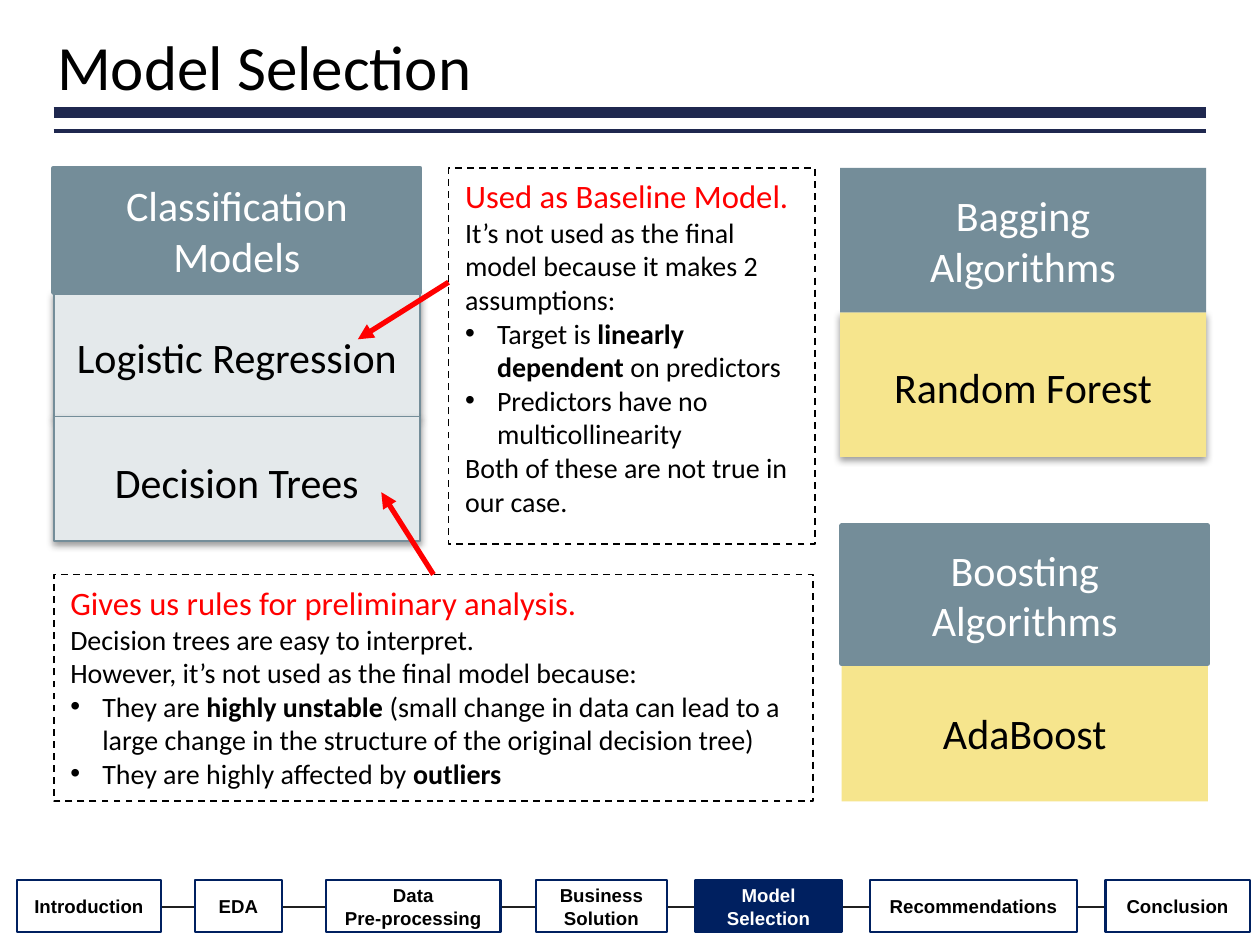
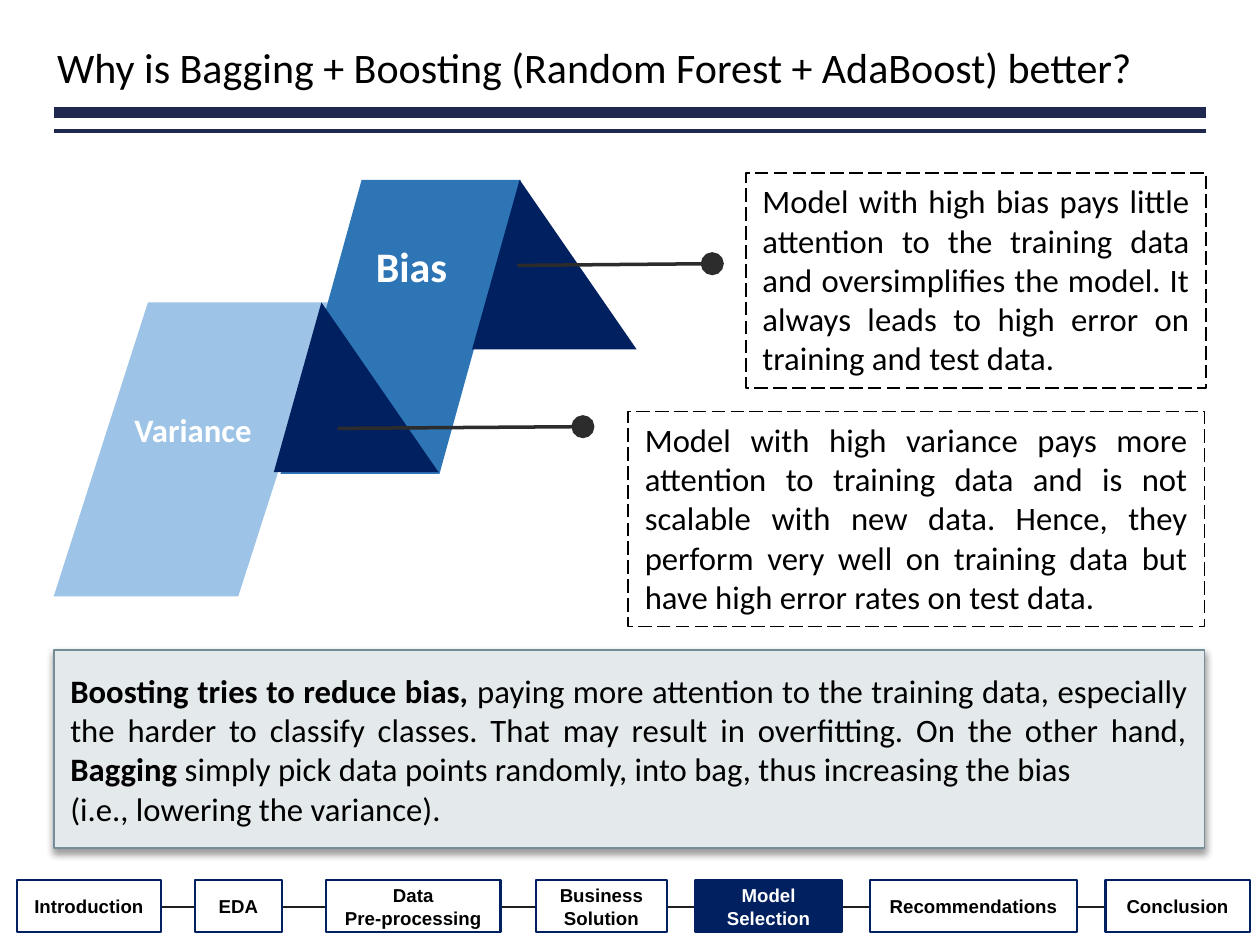
from lxml import etree
from pptx import Presentation
from pptx.dml.color import RGBColor
from pptx.enum.dml import MSO_LINE
from pptx.enum.shapes import MSO_CONNECTOR, MSO_SHAPE
from pptx.enum.text import MSO_ANCHOR, PP_ALIGN
from pptx.oxml.ns import qn
from pptx.util import Inches, Pt

RECT, TRIANGLE = MSO_SHAPE.RECTANGLE, MSO_SHAPE.ISOSCELES_TRIANGLE
PARALLELOGRAM = MSO_SHAPE.PARALLELOGRAM
STRAIGHT = MSO_CONNECTOR.STRAIGHT
DASH, LONG_DASH = MSO_LINE.DASH, MSO_LINE.LONG_DASH
TOP, MIDDLE = MSO_ANCHOR.TOP, MSO_ANCHOR.MIDDLE
LEFT, CENTER, JUSTIFY = PP_ALIGN.LEFT, PP_ALIGN.CENTER, PP_ALIGN.JUSTIFY

BLACK, WHITE, RED = "000000", "FFFFFF", "FF0000"
NAVY, RULE, CHARCOAL, LINK = "002060", "1F284F", "2C2C2C", "202020"
SLATE, MIST, YELLOW = "748D99", "E4E9EB", "F6E58D"
LIGHT_BLUE, MID_BLUE = "9DC3E6", "2E75B6"

# Footer steps: label, left, width
STEPS = [
    ("Introduction", 0.1, 0.86),
    ("EDA", 1.16, 0.52),
    ("Data\nPre-processing", 1.94, 1.04),
    ("Business Solution", 3.19, 0.78),
    ("Model Selection", 4.14, 0.87),
    ("Recommendations", 5.18, 1.23),
    ("Conclusion", 6.58, 0.86),
]
CURRENT_STEP = "Model Selection"


def color(value):
    return RGBColor.from_string(value)


def add_bullet(para):
    """Give a paragraph a round bullet with a hanging indent."""
    properties = para._p.get_or_add_pPr()
    properties.set("marL", str(Inches(0.19)))
    properties.set("indent", str(Inches(-0.19)))
    font = etree.SubElement(properties, qn("a:buFont"))
    font.set("typeface", "Arial")
    etree.SubElement(properties, qn("a:buChar")).set("char", "•")


def write(box, text, size, ink=BLACK, align=LEFT, anchor=MIDDLE,
          bold=False, font="Calibri"):
    """Write one paragraph a line; *stars* mark bold, "- " a bullet."""
    frame = box.text_frame
    frame.word_wrap = True
    frame.vertical_anchor = anchor
    for index, line in enumerate(text.split("\n")):
        para = frame.paragraphs[0] if index == 0 else frame.add_paragraph()
        para.alignment = align
        if line.startswith("- "):
            add_bullet(para)
            line = line[2:]
        for part, words in enumerate(line.split("*")):
            if words:
                span = para.add_run()
                span.text = words
                span.font.name = font
                span.font.size = Pt(size)
                span.font.bold = bold or part % 2 == 1
                span.font.color.rgb = color(ink)


def add_shadow(box):
    effects = box._element.spPr.find(qn("a:effectLst"))
    shadow = etree.SubElement(effects, qn("a:outerShdw"), blurRad=str(Pt(3.1)),
                              dist=str(Pt(1.6)), dir="5400000",
                              algn="t", rotWithShape="0")
    shade = etree.SubElement(shadow, qn("a:srgbClr"), val=BLACK)
    etree.SubElement(shade, qn("a:alpha"), val="38000")


def add_box(page, left, top, width, height, fill=None, line=None, weight=0.75,
            dash=None, shadow=False, kind=RECT, slant=None):
    box = page.shapes.add_shape(kind, Inches(left), Inches(top),
                                Inches(width), Inches(height))
    box.shadow.inherit = False
    if slant is not None:
        box.adjustments[0] = slant
    if fill:
        box.fill.solid()
        box.fill.fore_color.rgb = color(fill)
    else:
        box.fill.background()
    if line:
        box.line.color.rgb = color(line)
        box.line.width = Pt(weight)
        box.line.dash_style = dash
    else:
        box.line.fill.background()
    if shadow:
        add_shadow(box)
    return box


def add_line(page, start, end, ink, weight, tip=None, tip_size="med"):
    line = page.shapes.add_connector(STRAIGHT, *map(Inches, start + end))
    line.line.color.rgb = color(ink)
    line.line.width = Pt(weight)
    if tip:
        etree.SubElement(line.line._get_or_add_ln(), qn("a:tailEnd"),
                         type=tip, w=tip_size, len=tip_size)
    etree.SubElement(line._element.spPr, qn("a:effectLst"))


def add_footer(page):
    top, height, middle = 5.24, 0.31, 5.4
    for (_, left, width), (_, following, _) in zip(STEPS, STEPS[1:]):
        add_line(page, (left + width, middle), (following, middle), LINK, 0.75)
    for label, left, width in STEPS:
        current = label == CURRENT_STEP
        step = add_box(page, left, top, width, height,
                       NAVY if current else WHITE, NAVY, 1)
        write(step, label, 8, WHITE if current else BLACK, CENTER,
              bold=True, font="Arial")


def add_page(deck, title, size):
    """Start a slide with its footer, double rule and title."""
    page = deck.slides.add_slide(deck.slide_layouts[6])
    add_footer(page)
    for top, weight in ((0.67, 4.5), (0.78, 1.5)):
        add_line(page, (0.32, top), (7.18, top), RULE, weight)
    box = page.shapes.add_textbox(Inches(0.28), Inches(0.16),
                                  Inches(6.89), Inches(0.51))
    frame = box.text_frame
    frame.margin_left = frame.margin_right = Inches(0.06)
    frame.margin_top = frame.margin_bottom = Inches(0.03)
    write(box, title, size)
    frame.paragraphs[0].line_spacing = 0.9
    return page


def add_stack(page, left, top, height, header, models, fill, border=None,
              edge=None, shadow=True, inset=0.08):
    """Stack model boxes of equal height under a header."""
    width = 2.18
    for row, model in enumerate(models, 1):
        box = add_box(page, left, top + row * height, width, height,
                      fill, border, shadow=shadow)
        box.text_frame.margin_top = Inches(inset)
        write(box, model, 18, align=CENTER)
    box = add_box(page, left, top, width, height, SLATE, edge, 2)
    write(box, header, 18, WHITE, CENTER)


def add_remark(page, left, top, width, height, text):
    """Add a dashed remark whose first line is a red heading."""
    box = add_box(page, left, top, width, height, line=BLACK, dash=DASH)
    write(box, text, 12, anchor=TOP)
    heading = box.text_frame.paragraphs[0].runs[0]
    heading.font.size = Pt(14)
    heading.font.color.rgb = color(RED)


def add_ribbon(page, left, top, width, fill, label, size, inset, shift=0):
    box = add_box(page, left, top, width, 1.75, fill,
                  kind=PARALLELOGRAM, slant=0.338)
    box.text_frame.margin_top = Inches(inset)
    box.text_frame.margin_left = Inches(0.1 + shift)
    write(box, label, size, WHITE, CENTER, TOP, bold=True)


def build_selection(deck):
    page = add_page(deck, "Model Selection", 27)

    # Model families
    add_stack(page, 0.32, 1, 0.74, "Classification Models",
              ["Logistic Regression", "Decision Trees"], MIST, SLATE, SLATE)
    add_stack(page, 5, 1, 0.86, "Bagging\nAlgorithms", ["Random Forest"], YELLOW)
    add_stack(page, 5.01, 3.13, 0.82, "Boosting Algorithms", ["AdaBoost"],
              YELLOW, edge=SLATE, shadow=False, inset=0.05)

    # Remarks with their arrows
    add_line(page, (2.67, 1.68), (2.13, 2.02), RED, 2.25, "triangle")
    add_remark(page, 2.67, 1, 2.18, 2.24,
               "Used as Baseline Model.\n"
               "It’s not used as the final model because it makes 2 assumptions:\n"
               "- Target is *linearly dependent *on predictors\n"
               "- Predictors have no multicollinearity\n"
               "Both of these are not true in our case.")
    add_line(page, (2.58, 3.42), (2.27, 2.93), RED, 2.25, "triangle")
    add_remark(page, 0.32, 3.42, 4.52, 1.35,
               "Gives us rules for preliminary analysis.\n"
               "Decision trees are easy to interpret.\n"
               "However, it’s not used as the final model because:\n"
               "- They are *highly unstable *(small change in data can lead to a "
               "large change in the structure of the original decision tree)\n"
               "- They are highly affected by *outliers*")


def build_comparison(deck):
    page = add_page(
        deck, "Why is Bagging + Boosting (Random Forest + AdaBoost) better?", 18)

    # Folded ribbon
    add_ribbon(page, 0.32, 1.8, 1.66, LIGHT_BLUE, "Variance", 14, 0.25)
    add_ribbon(page, 1.67, 1.07, 1.43, MID_BLUE, "Bias", 18, -0.03, 0.13)
    for left, top in ((1.63, 1.8), (2.81, 1.07)):
        add_box(page, left, top, 0.98, 1.01, NAVY, kind=TRIANGLE, slant=0.289)

    # Pointers and explanations
    for start, end in (((3.08, 1.58), (4.24, 1.57)), ((2.01, 2.55), (3.47, 2.54))):
        add_line(page, start, end, CHARCOAL, 1.5, "oval", "lg")
    explanations = [
        (4.44, 1.03, 2.74,
         "Model with high bias pays little attention to the training data and "
         "oversimplifies the model. It always leads to high error on training "
         "and test data."),
        (3.74, 2.45, 3.43,
         "Model with high variance pays more attention to training data and is "
         "not scalable with new data. Hence, they perform very well on training "
         "data but have high error rates on test data."),
    ]
    for left, top, width, text in explanations:
        box = add_box(page, left, top, width, 1.28, line=BLACK, dash=LONG_DASH)
        write(box, text, 14, align=JUSTIFY, anchor=TOP)

    # Conclusion
    summary = add_box(page, 0.32, 3.87, 6.85, 1.18, MIST, SLATE, shadow=True)
    write(summary,
          "*Boosting tries to reduce bias,* paying more attention to the training "
          "data, especially the harder to classify classes. That may result in "
          "overfitting. On the other hand, *Bagging *simply pick data points "
          "randomly, into bag, thus increasing the bias\n"
          "(i.e., lowering the variance).", 14, align=JUSTIFY)


def main():
    deck = Presentation()
    deck.slide_width = Inches(7.5)
    deck.slide_height = deck.slide_width * 3 // 4
    build_selection(deck)
    build_comparison(deck)
    deck.save("out.pptx")


if __name__ == "__main__":
    main()
